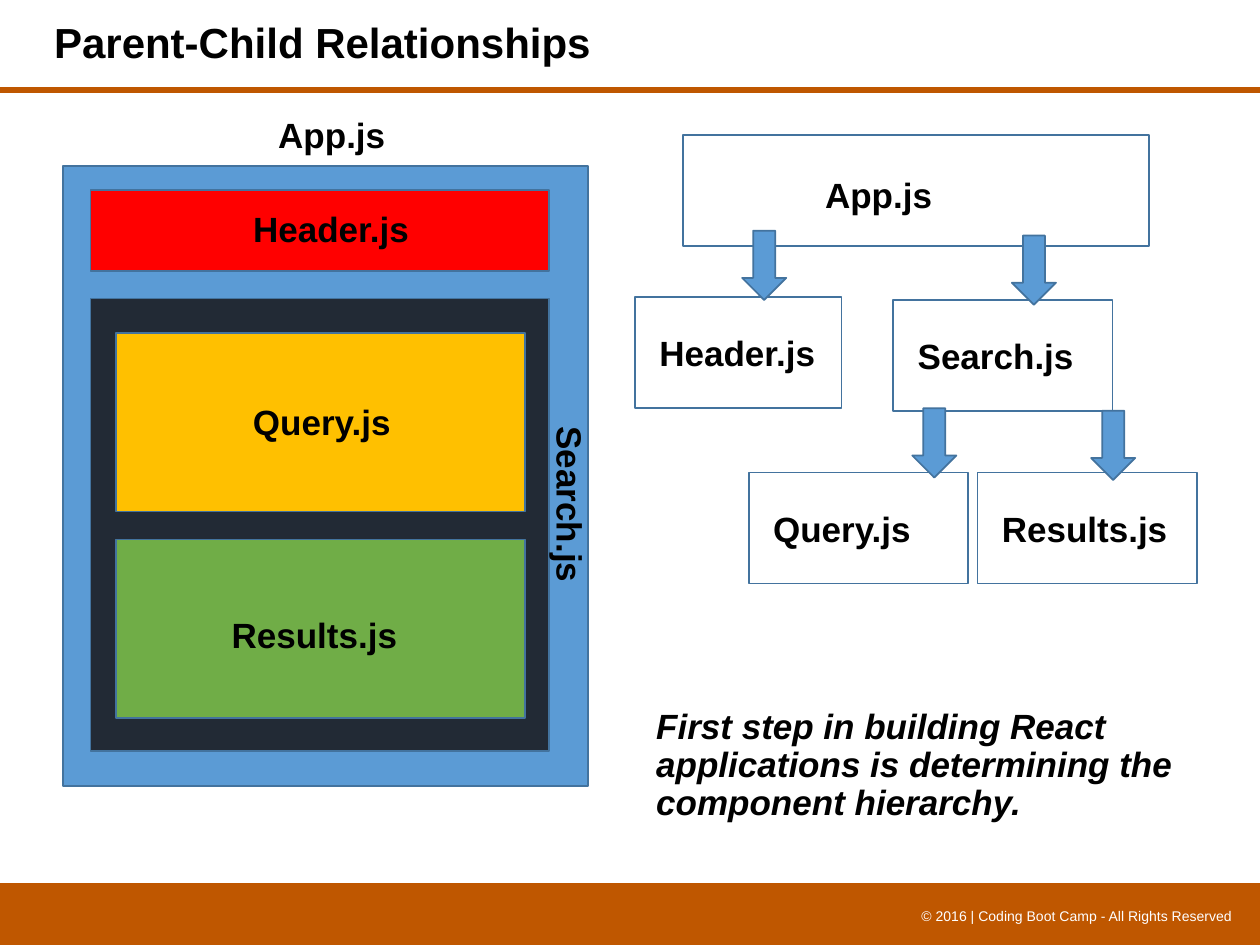
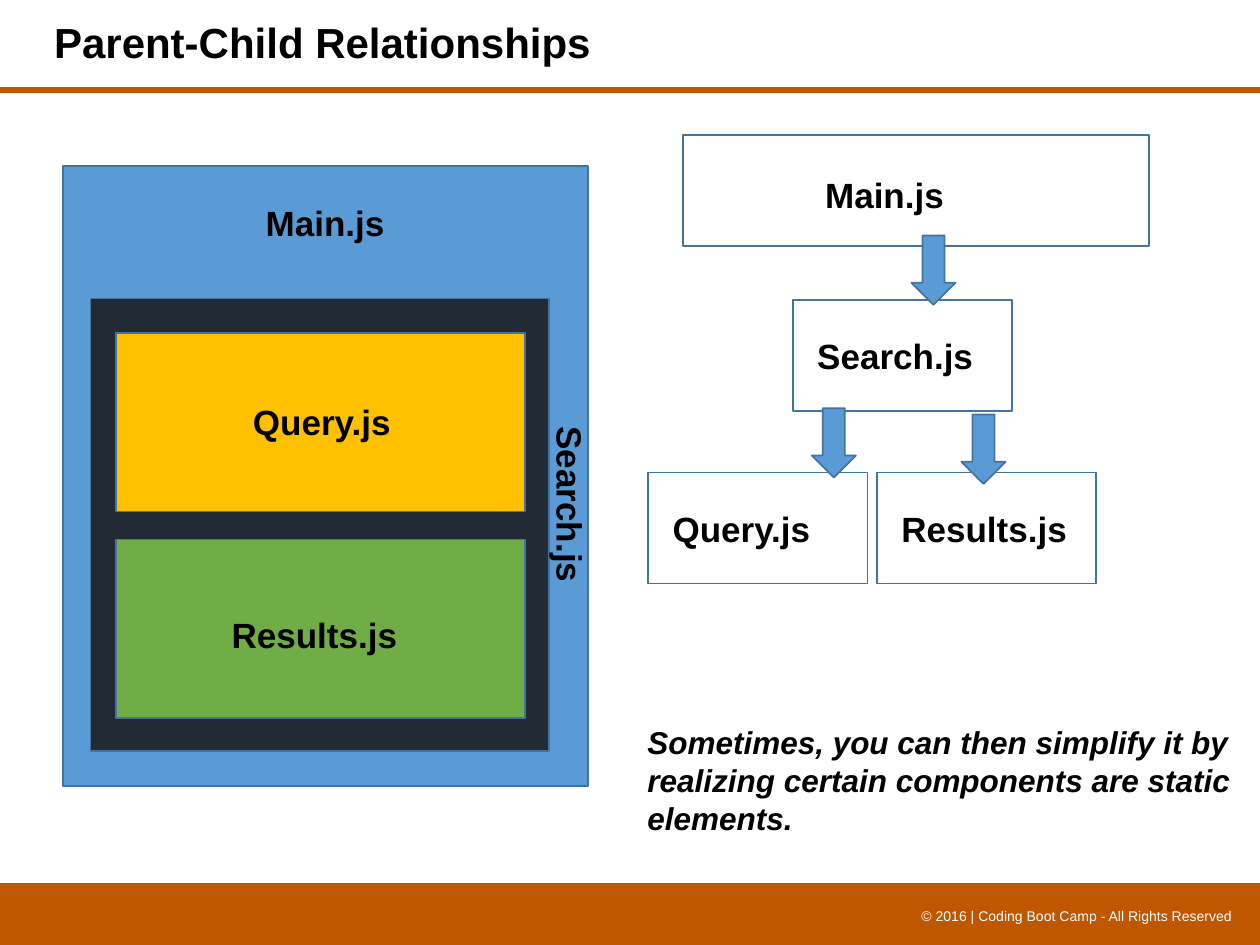
from pptx import Presentation
from pptx.dml.color import RGBColor
from pptx.enum.shapes import MSO_CONNECTOR, MSO_SHAPE
from pptx.enum.text import MSO_ANCHOR, MSO_AUTO_SIZE, PP_ALIGN
from pptx.util import Pt
from lxml.etree import SubElement
from pptx.oxml.ns import qn

# Shared content and colours
TITLE = "Parent-Child Relationships"
FOOT = "© 2016 | Coding Boot Camp - All Rights Reserved"
BRAND, BLUE, EDGE = "BF5700", "5B9BD5", "43739E"
BLACK, WHITE = "000000", "FFFFFF"
LABEL = {"size": Pt(20), "bold": True}
WIDTHS = {"App.js": 76.3, "Main.js": 82.8, "Header.js": 104.4,
          "Search.js": 104.4, "Query.js": 93.6, "Results.js": 110.2}
LINE_H = 31.7

# Nested layout: left, top, width, height, fill
OUTER = (36, 95, 300.2, 354.2, BLUE)
HEADER = (51.8, 108.7, 262.1, 46.1, "FF0000")
INNER = [(51.8, 170.6, 262.1, 258.5, "222A35"),
         (66.2, 190.1, 234, 102.2, "FFC000"),
         (66.2, 308.2, 234, 102.2, "70AD47")]

# Nested labels: name, left, top, turn
NAMES = [("Search.js", 273.6, 272.9, 90), ("Query.js", 137.5, 225.4, 0),
         ("Results.js", 125.3, 347, 0)]

# Tree: name, left, top, width, label offset
NODE_H, ARROW = 63.4, (25.2, 39.6)
NEAR, ROOT = (6.8, 16.2), (74.2, 18.7)
SUB = [("Search.js", 510.5, 171.4, 125.3, NEAR),
       ("Query.js", 427.9, 270, 125.3, NEAR),
       ("Results.js", 558.6, 270, 125.3, NEAR)]
DOWN = [(578.2, 134.6), (521.3, 233.3)]

SLIDES = [
    {"root": "App.js", "boxes": [OUTER, HEADER] + INNER,
     "names": NAMES + [("Header.js", 137.5, 115.2, 0), ("App.js", 151.9, 61.2, 0)],
     "nodes": [("Header.js", 362.9, 169.9, 118.1, NEAR)], "shift": 0,
     "arrows": [(424.1, 131.8), (623.5, 234.7)],
     "note": "First step in building React applications is determining "
             "the component hierarchy.",
     "place": (349.9, 401.8, 357.8, 96.5), "size": 20,
     "para": {"line_spacing": 0.9}, "indent": 18},
    {"root": "Main.js", "boxes": [OUTER] + INNER,
     "names": NAMES + [("Main.js", 144.7, 111.6, 0)],
     "nodes": [], "shift": -57.4,
     "arrows": [(549.4, 236.9)],
     "note": "Sometimes, you can then simplify it by realizing certain "
             "components are static elements.",
     "place": (362.9, 409.7, 357, 72.7), "size": 18,
     "para": {}, "indent": 0},
]


def color(code):
    return RGBColor.from_string(code)


def apply(obj, form):
    for key, val in form.items():
        setattr(obj, key, val)


def draw(page, kind, place, fill=None, edge=EDGE):
    shape = page.shapes.add_shape(kind, *map(Pt, place))
    shape.shadow.inherit = False
    if fill:
        shape.fill.solid()
        shape.fill.fore_color.rgb = color(fill)
    else:
        shape.fill.background()
    if edge:
        shape.line.color.rgb = color(edge)
        shape.line.width = Pt(1)
    else:
        shape.line.fill.background()


def write(page, text, place, font, para=None, frame=None, tone=BLACK):
    box = page.shapes.add_textbox(*map(Pt, place))
    apply(box.text_frame, {"word_wrap": True, **(frame or {})})
    line = box.text_frame.paragraphs[0]
    apply(line, para or {})
    run = line.add_run()
    run.text = text
    apply(run.font, {"name": "Arial", **font})
    run.font.color.rgb = color(tone)
    return box


def label(page, name, left, top, turn=0):
    box = write(page, name, (left, top, WIDTHS[name], LINE_H), LABEL,
                frame={"word_wrap": False,
                       "auto_size": MSO_AUTO_SIZE.SHAPE_TO_FIT_TEXT})
    box.rotation = turn


def base(page):
    # Footer band, rule and title
    draw(page, MSO_SHAPE.FLOWCHART_PROCESS, (0, 504.7, 720, 35.3), BRAND, None)
    rule = page.shapes.add_connector(
        MSO_CONNECTOR.STRAIGHT, *map(Pt, (0, 51.5, 720, 51.5)))
    rule.line.color.rgb = color(BRAND)
    rule.line.width = Pt(3.25)
    SubElement(rule._element.spPr, qn("a:effectLst"))
    write(page, FOOT, (491.8, 514.8, 219.6, 17.3), {"size": Pt(8)},
          {"alignment": PP_ALIGN.RIGHT}, tone=WHITE)
    write(page, TITLE, (23.8, 0, 430.6, 51.8), {"size": Pt(24), "bold": True},
          {"line_spacing": 0.9}, {"vertical_anchor": MSO_ANCHOR.MIDDLE})


def build(page, data):
    base(page)
    # Nested components
    for *place, fill in data["boxes"]:
        draw(page, MSO_SHAPE.RECTANGLE, place, fill)
    for item in data["names"]:
        label(page, *item)
    # Component tree
    shift = data["shift"]
    nodes = [(data["root"], 390.2, 77, 266.4, ROOT)] + data["nodes"]
    nodes += [(name, left + shift, *rest) for name, left, *rest in SUB]
    for name, left, top, width, (dx, dy) in nodes:
        draw(page, MSO_SHAPE.RECTANGLE, (left, top, width, NODE_H))
        label(page, name, left + dx, top + dy)
    for left, top in data["arrows"] + [(x + shift, y) for x, y in DOWN]:
        draw(page, MSO_SHAPE.DOWN_ARROW, (left, top, *ARROW), BLUE)
    # Closing remark
    font = {**LABEL, "size": Pt(data["size"]), "italic": True}
    box = write(page, data["note"], data["place"], font, data["para"])
    props = box.text_frame.paragraphs[0]._p.get_or_add_pPr()
    props.set("marL", str(Pt(data["indent"])))


def main():
    deck = Presentation()
    apply(deck, {"slide_width": Pt(720), "slide_height": Pt(540)})
    for data in SLIDES:
        build(deck.slides.add_slide(deck.slide_layouts[6]), data)
    deck.save("out.pptx")


if __name__ == "__main__":
    main()
